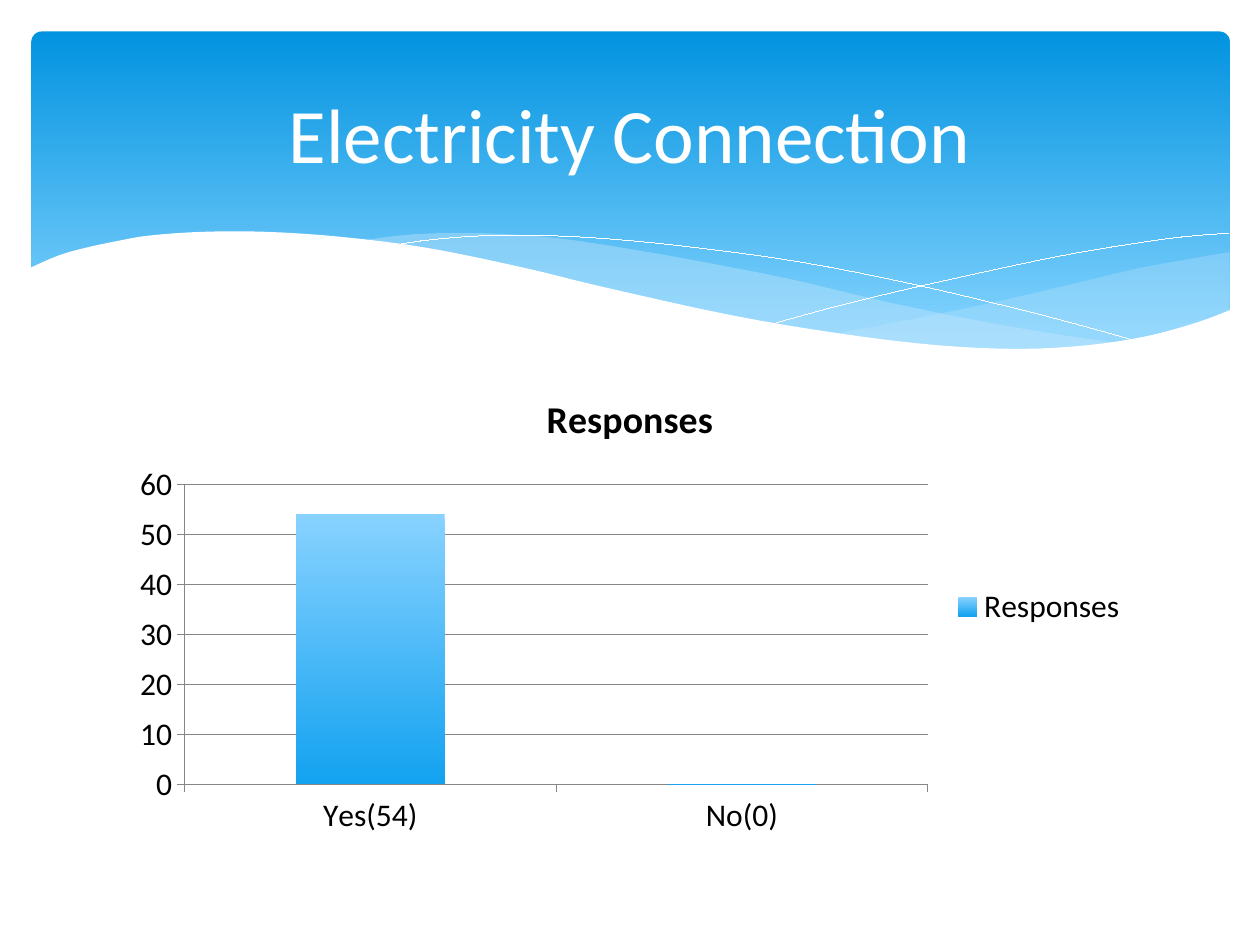
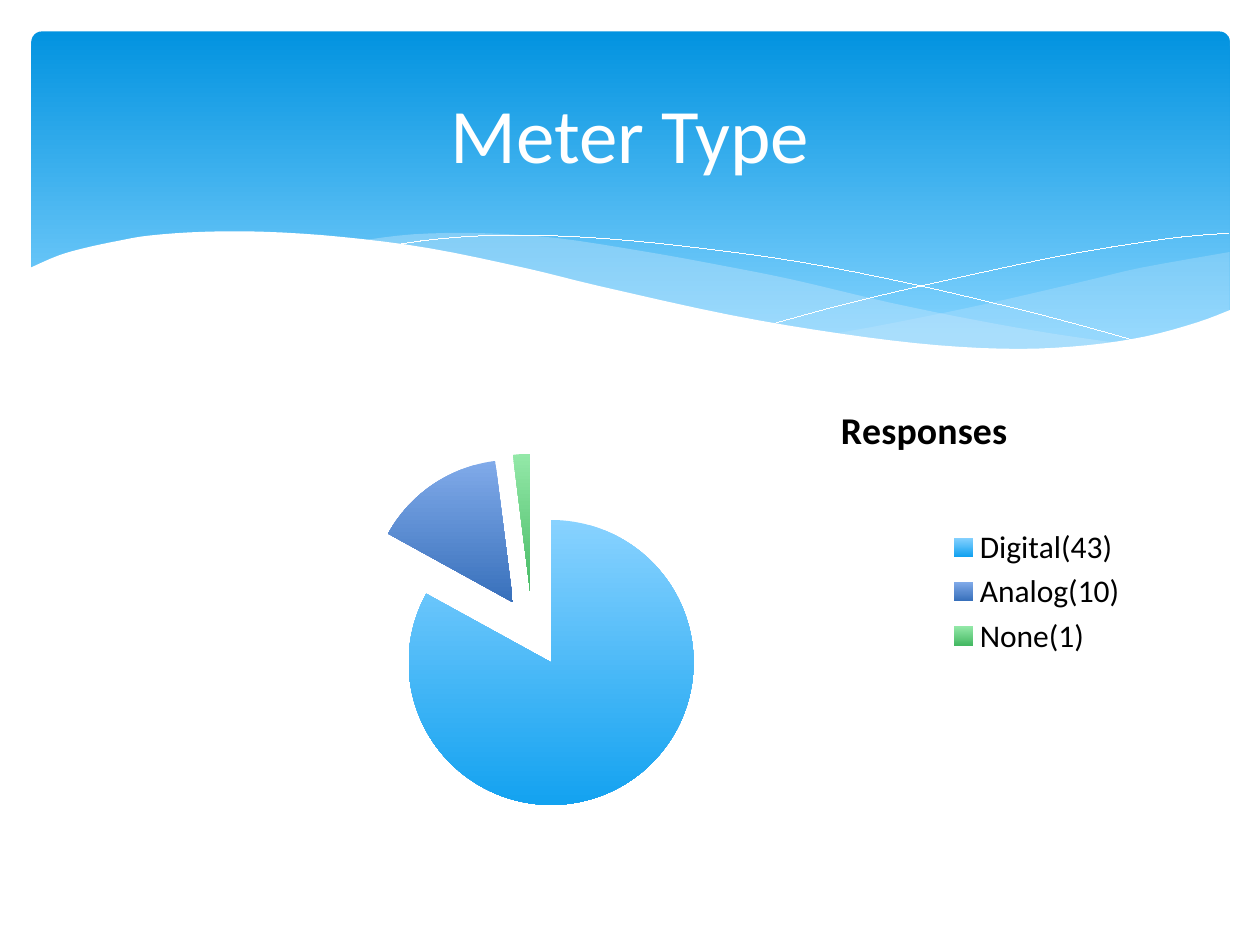
from lxml.etree import SubElement
from pptx import Presentation
from pptx.chart.data import CategoryChartData
from pptx.dml.color import RGBColor
from pptx.enum.chart import XL_CHART_TYPE as ChartType, XL_LEGEND_POSITION as LegendPosition
from pptx.enum.chart import XL_TICK_MARK as TickMark
from pptx.enum.shapes import MSO_SHAPE as Preset
from pptx.enum.text import MSO_ANCHOR as Anchor, PP_ALIGN as Align
from pptx.oxml.ns import qn
from pptx.util import Pt

CHARTS = [
    {"heading": "Electricity Connection", "type": ChartType.COLUMN_STACKED, "top": 211,
     "series": "Responses", "categories": ["Yes(54)", "No(0)"], "values": [54, 0]},
    {"heading": "Meter Type", "type": ChartType.PIE, "top": 202.3,
     "series": "Series 1", "categories": ["Digital(43)", "Analog(10)", "None(1)"],
     "values": [83, 15, 2]},
]
CHART_TITLE = "Responses"

COLOURS = {
    "band top": "0293E0", "band bottom": "83D3FE", "swell": "C6E7FC",
    "white": "FFFFFF", "black": "000000", "axis": "868686",
    "blue top": "88D2FF", "blue bottom": "13A2F0",
    "navy top": "80AAE9", "navy bottom": "3870BB",
    "green top": "93E8A8", "green bottom": "45B963",
}
SERIES_HUES = ["blue", "navy", "green"]
FONT = "Calibri"

# Boxes are left, top, width, height in points.
BAND_BOX = (18, 18, 684.7, 194.4)
HEADING_BOX = (36, 26.6, 648, 98.6)
CHART_LEFT, CHART_WIDTH, CHART_HEIGHT = 68.4, 583.2, 271.4

# Places inside the pie chart are fractions of its size.
PIE_AREA = {"x": 0.23, "y": 0.21, "w": 0.35, "h": 0.75}
PIE_TITLE_PLACE = {"x": 0.7, "y": 0.09}
PIE_EXPLOSION = 25

COLUMN_FORMAT = {"gap_width": 150, "overlap": 100, "vary_by_categories": False}
VALUE_SCALE = {"minimum_scale": 0, "maximum_scale": 60, "major_unit": 10,
               "has_major_gridlines": True}

# Each wave is a list of edges; a curve is drawn through the points of each edge.
RIGHT_SWELL = [
    [(702.7, 144), (652, 153), (620, 160.6), (561, 174.2), (508, 185), (476, 190.8)],
    [(476, 190.8), (517.7, 196.6), (562.3, 199.4), (601, 199.4), (640, 195.8),
     (673, 188.6), (702.7, 177.8)],
]
MIDDLE_SWELL = [
    [(206, 137.5), (236, 133.9), (273.6, 133.2), (318, 136), (370, 144), (409.7, 151.2),
     (453, 159.8), (508, 172.8), (558, 183), (602.6, 190.8), (643, 196.6)],
    [(643, 196.6), (610.6, 199.4), (573, 200.2), (538.6, 198.7), (500.4, 194.4),
     (456.5, 188), (407.5, 178.6), (353.5, 167), (323.3, 159.8), (275.8, 149),
     (232.6, 141), (206, 137.5)],
]
FALLING_LINE = [
    [(222.5, 140.4), (247.7, 136.8), (278.6, 134.6), (311.8, 134.6), (352, 136.8),
     (400.3, 141.8), (458, 149.8), (523.4, 162.7), (598.3, 180.7), (653, 195.8)],
]
RISING_LINE = [
    [(441.4, 185), (483.8, 173.5), (538.6, 160.6), (602, 147), (644.4, 139.7),
     (675.4, 135.4), (702, 133.2)],
]
WHITE_WAVE = [
    [(703.4, 177), (684, 184.3), (655, 192.2), (621.4, 197.3), (582.5, 199.4),
     (535.7, 197.3), (481, 190.8), (417, 180), (342, 163.4), (301, 153.4), (244.8, 141.8),
     (195, 135.4), (152, 132.5), (116, 132.5), (85.7, 134.6), (68.4, 137.5), (48.2, 141.8),
     (33, 146.2), (16.6, 153.4)],
    [(16.6, 236.9), (703.4, 236.9)],
]
WAVES = [
    {"edges": RIGHT_SWELL, "fill": "swell", "opacity": 29},
    {"edges": MIDDLE_SWELL, "fill": "swell", "opacity": 40},
    {"edges": FALLING_LINE},
    {"edges": RISING_LINE},
    {"edges": WHITE_WAVE, "fill": "white"},
]


def rgb(name):
    return RGBColor.from_string(COLOURS[name])


def points_to_lengths(values):
    return [Pt(value) for value in values]


def set_all(target, values):
    for key, value in values.items():
        setattr(target, key, value)


def style_font(font, size, colour, bold=False):
    set_all(font, {"name": FONT, "size": Pt(size), "bold": bold})
    font.color.rgb = rgb(colour)


def fill_down(fill, hue, end=1.0):
    """Fill with the gradient of a hue, from its top colour to its bottom colour."""
    fill.gradient()
    fill.gradient_angle = 270
    for stop, side, position in zip(fill.gradient_stops, ("top", "bottom"), (0, end)):
        stop.color.rgb = rgb(f"{hue} {side}")
        stop.position = position


def smooth(points, steps=4):
    """Return points along a Catmull-Rom curve through the given points."""
    padded = [points[0], *points, points[-1]]
    curve = [points[0]]
    for before, start, end, after in zip(padded, padded[1:], padded[2:], padded[3:]):
        for step in range(1, steps + 1):
            t = step / steps
            curve.append(tuple(
                (2 * q + (r - p) * t + (2 * p - 5 * q + 4 * r - s) * t ** 2
                 + (3 * q - p - 3 * r + s) * t ** 3) / 2
                for p, q, r, s in zip(before, start, end, after)))
    return curve


def add_wave(page, edges, fill=None, opacity=100):
    """Draw a filled wave, or a white hairline when there is no fill."""
    corners = [points_to_lengths(point) for edge in edges for point in smooth(edge)]
    builder = page.shapes.build_freeform(*corners[0])
    builder.add_line_segments(corners[1:], close=fill is not None)
    wave = builder.convert_to_shape()
    wave.shadow.inherit = False
    properties = wave.element.spPr
    if fill is None:
        wave.fill.background()
        wave.line.color.rgb = rgb("white")
        properties.find(qn("a:ln")).set("w", "0")
        return
    wave.line.fill.background()
    wave.fill.solid()
    wave.fill.fore_color.rgb = rgb(fill)
    if opacity < 100:
        colour = properties.find(".//" + qn("a:srgbClr"))
        SubElement(colour, qn("a:alpha"), val=str(opacity * 1000))


def add_band(page):
    """Draw the blue band and the waves that cut its lower edge."""
    band = page.shapes.add_shape(Preset.ROUNDED_RECTANGLE, *points_to_lengths(BAND_BOX))
    band.adjustments[0] = 0.03
    band.shadow.inherit = False
    band.line.fill.background()
    fill_down(band.fill, "band", end=0.9)
    for wave in WAVES:
        add_wave(page, **wave)


def add_heading(page, text):
    box = page.shapes.add_textbox(*points_to_lengths(HEADING_BOX))
    frame = box.text_frame
    set_all(frame, {"word_wrap": True, "vertical_anchor": Anchor.MIDDLE})
    para = frame.paragraphs[0]
    para.alignment = Align.CENTER
    span = para.add_run()
    span.text = text
    style_font(span.font, 44, "white")


def set_layout(part, index, place, inner=False):
    """Place a part of a chart; index is where its layout stands among its children."""
    for old in part.findall(qn("c:layout")):
        part.remove(old)
    layout = SubElement(part, qn("c:layout"))
    part.insert(index, layout)
    manual = SubElement(layout, qn("c:manualLayout"))
    settings = {"layoutTarget": "inner"} if inner else {}
    settings.update({"xMode": "edge", "yMode": "edge"}, **place)
    for key, value in settings.items():
        SubElement(manual, qn(f"c:{key}"), val=str(value))


def style_columns(chart):
    plot = chart.plots[0]
    values, categories = chart.value_axis, chart.category_axis
    set_all(plot, COLUMN_FORMAT)
    set_all(values, VALUE_SCALE)
    fill_down(plot.series[0].format.fill, SERIES_HUES[0])
    for axis in (categories, values):
        axis.major_tick_mark = TickMark.OUTSIDE
    for part in (categories, values, values.major_gridlines):
        set_all(part.format.line, {"width": Pt(0.5)})
        part.format.line.color.rgb = rgb("axis")


def style_pie(chart):
    plot = chart.plots[0]
    plot.vary_by_categories = True
    series = plot.series[0]
    series.format.line.fill.background()
    for index, hue in enumerate(SERIES_HUES):
        slice_format = series.points[index].format
        fill_down(slice_format.fill, hue)
        slice_format.line.fill.background()

    series_xml, area, title = (chart.element.find(".//" + qn(tag))
                               for tag in ("c:ser", "c:plotArea", "c:title"))
    explosion = SubElement(series_xml, qn("c:explosion"), val=str(PIE_EXPLOSION))
    series_xml.find(qn("c:spPr")).addnext(explosion)
    set_layout(area, 0, PIE_AREA, inner=True)
    set_layout(title, 1, PIE_TITLE_PLACE)


CHART_STYLES = {ChartType.COLUMN_STACKED: style_columns, ChartType.PIE: style_pie}


def add_chart(page, content):
    data = CategoryChartData()
    data.categories = content["categories"]
    data.add_series(content["series"], content["values"])
    box = (CHART_LEFT, content["top"], CHART_WIDTH, CHART_HEIGHT)
    chart = page.shapes.add_chart(content["type"], *points_to_lengths(box), data).chart
    style_font(chart.font, 18, "black")
    set_all(chart, {"has_title": True, "has_legend": True})
    set_all(chart.legend, {"position": LegendPosition.RIGHT, "include_in_layout": False})
    title = chart.chart_title.text_frame
    title.text = CHART_TITLE
    style_font(title.paragraphs[0].runs[0].font, 21.6, "black", bold=True)
    CHART_STYLES[content["type"]](chart)


def main():
    deck = Presentation()
    set_all(deck, {"slide_width": Pt(720), "slide_height": Pt(540)})
    blank = deck.slide_layouts[6]
    for content in CHARTS:
        page = deck.slides.add_slide(blank)
        add_band(page)
        add_chart(page, content)
        add_heading(page, content["heading"])
    deck.save("out.pptx")


if __name__ == "__main__":
    main()
